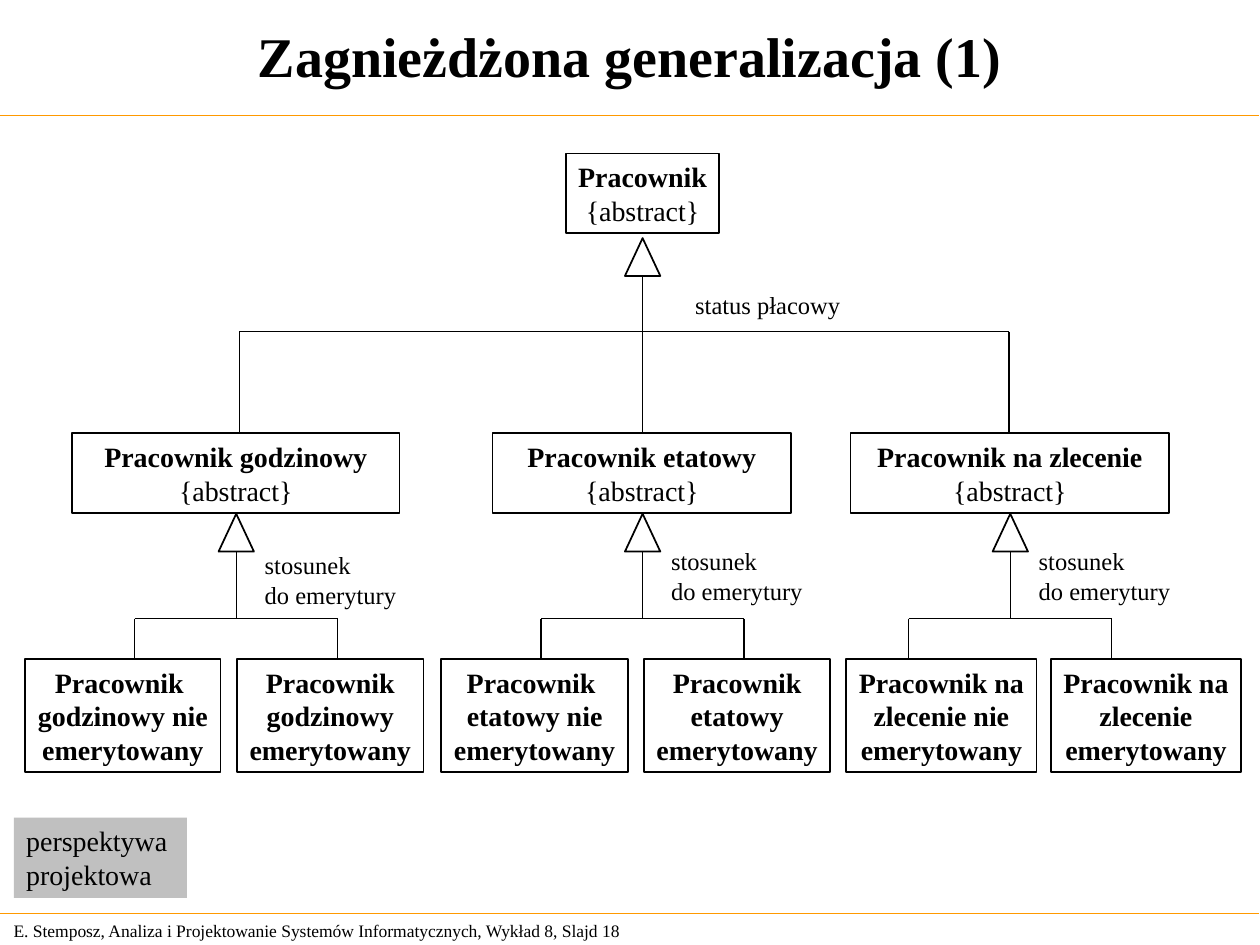
from dataclasses import dataclass

from lxml import etree
from pptx import Presentation
from pptx.dml.color import RGBColor
from pptx.enum.shapes import MSO_CONNECTOR, MSO_SHAPE
from pptx.enum.text import MSO_ANCHOR, PP_ALIGN
from pptx.oxml.ns import qn
from pptx.util import Pt

STRAIGHT = MSO_CONNECTOR.STRAIGHT
RECTANGLE, TRIANGLE = MSO_SHAPE.RECTANGLE, MSO_SHAPE.ISOSCELES_TRIANGLE
TOP, MIDDLE = MSO_ANCHOR.TOP, MSO_ANCHOR.MIDDLE
LEFT, CENTER = PP_ALIGN.LEFT, PP_ALIGN.CENTER


@dataclass(frozen=True)
class Theme:
    font: str = "Times New Roman"
    ink: RGBColor = RGBColor(0, 0, 0)
    paper: RGBColor = RGBColor(255, 255, 255)
    rule: RGBColor = RGBColor(0xFF, 0x99, 0x00)
    note: RGBColor = RGBColor(0xC0, 0xC0, 0xC0)
    title_size: float = 32
    class_size: float = 16
    label_size: float = 14
    footer_size: float = 10
    thick: float = 1
    thin: float = 0.75


@dataclass(frozen=True)
class Box:
    left: float
    top: float
    width: float
    height: float


@dataclass(frozen=True)
class Leaf:
    left: float
    width: float
    lines: tuple[str, ...]


@dataclass(frozen=True)
class Branch:
    name: str
    left: float
    width: float
    axis: float
    label_top: float
    leaves: tuple[Leaf, Leaf]


THEME = Theme()
SLIDE_W, SLIDE_H = 720, 540
ROOT = Box(323.3, 87.8, 87.8, 45.4)
ROOT_AXIS, ROOT_ARROW_TOP, ROOT_BAR = 367.2, 136.1, 189.5
BAR_ENDS = (136.8, 576.7)
BRANCH_TOP, BRANCH_H = 247.6, 45.4
ARROW_W, ARROW_H, ARROW_TOP = 20.2, 21.6, 293.6
LEAF_BAR, LEAF_BAR_HALF = 353.5, 58
LEAF_TOP, LEAF_H = 376.5, 64.8
LABEL_GAP, LABEL_W, LABEL_H = 9.2, 100, 40.3
RULES = (66.2, 522)
RULE_LEFT = -0.7

BRANCHES = (
    Branch("Pracownik godzinowy", 41.2, 187.2, 135, 311, (
        Leaf(14.4, 111.6, ("Pracownik ", "godzinowy nie", "emerytowany")),
        Leaf(135.4, 106.6, ("Pracownik", "godzinowy", "emerytowany")))),
    Branch("Pracownik etatowy", 281.5, 170.6, 367.2, 308.7, (
        Leaf(252.2, 106.6, ("Pracownik ", "etatowy nie", "emerytowany")),
        Leaf(367.9, 106.6, ("Pracownik", "etatowy", "emerytowany")))),
    Branch("Pracownik na zlecenie", 486, 182.2, 577.3, 308.7, (
        Leaf(483.6, 108.7, ("Pracownik na", "zlecenie nie", "emerytowany")),
        Leaf(600.5, 108.7, ("Pracownik na", "zlecenie", "emerytowany")))),
)


def add_line(s, x1: float, y1: float, x2: float, y2: float,
             width: float = THEME.thick, color: RGBColor = THEME.ink) -> None:
    line = s.shapes.add_connector(STRAIGHT, Pt(x1), Pt(y1), Pt(x2), Pt(y2))
    line.line.color.rgb = color
    line.line.width = Pt(width)
    etree.SubElement(line._element.spPr, qn("a:effectLst"))


def write(sp, lines: tuple[str, ...], size: float, bold_lines: int = 0,
          align: PP_ALIGN = LEFT, anchor: MSO_ANCHOR = TOP, wrap: bool = False) -> None:
    """Fill a shape with one paragraph per line, the first bold_lines in bold."""
    tf = sp.text_frame
    tf.word_wrap = wrap
    tf.vertical_anchor = anchor
    tf.text = "\n".join(lines)
    for i, p in enumerate(tf.paragraphs):
        p.alignment = align
        for r in p.runs:
            r.font.name = THEME.font
            r.font.size = Pt(size)
            r.font.bold = i < bold_lines
            r.font.color.rgb = THEME.ink


def add_text(s, box: Box, lines: tuple[str, ...], size: float, **style) -> None:
    sp = s.shapes.add_textbox(Pt(box.left), Pt(box.top), Pt(box.width), Pt(box.height))
    write(sp, lines, size, wrap=True, **style)


def add_outline(s, kind: MSO_SHAPE, box: Box, fill: RGBColor | None = None,
                outlined: bool = True):
    sp = s.shapes.add_shape(kind, Pt(box.left), Pt(box.top), Pt(box.width), Pt(box.height))
    sp.shadow.inherit = False
    if fill is None:
        sp.fill.background()
    else:
        sp.fill.solid()
        sp.fill.fore_color.rgb = fill
    if outlined:
        sp.line.color.rgb = THEME.ink
        sp.line.width = Pt(THEME.thick)
    else:
        sp.line.fill.background()
    return sp


def add_class(s, box: Box, lines: tuple[str, ...], bold_lines: int) -> None:
    sp = add_outline(s, RECTANGLE, box)
    write(sp, lines, THEME.class_size, bold_lines, CENTER)


def add_arrow(s, axis: float, top: float) -> None:
    """Hollow generalization triangle centred on the axis."""
    add_outline(s, TRIANGLE, Box(axis - ARROW_W / 2, top, ARROW_W, ARROW_H), THEME.paper)


def add_branch(s, branch: Branch) -> None:
    add_class(s, Box(branch.left, BRANCH_TOP, branch.width, BRANCH_H),
              (branch.name, "{abstract}"), 1)
    add_arrow(s, branch.axis, ARROW_TOP)
    add_line(s, branch.axis, ARROW_TOP + ARROW_H, branch.axis, LEAF_BAR, THEME.thin)
    ends = (branch.axis - LEAF_BAR_HALF, branch.axis + LEAF_BAR_HALF)
    add_line(s, ends[0], LEAF_BAR, ends[1], LEAF_BAR)
    add_text(s, Box(branch.axis + LABEL_GAP, branch.label_top, LABEL_W, LABEL_H),
             ("stosunek", "do emerytury"), THEME.label_size)
    for x, leaf in zip(ends, branch.leaves):
        add_line(s, x, LEAF_BAR, x, LEAF_TOP, THEME.thin)
        add_class(s, Box(leaf.left, LEAF_TOP, leaf.width, LEAF_H), leaf.lines, len(leaf.lines))


def add_root(s) -> None:
    add_line(s, ROOT_AXIS, ROOT_ARROW_TOP, ROOT_AXIS, BRANCH_TOP)
    add_arrow(s, ROOT_AXIS, ROOT_ARROW_TOP)
    add_line(s, BAR_ENDS[0], ROOT_BAR, BAR_ENDS[1], ROOT_BAR)
    for x in BAR_ENDS:
        add_line(s, x, ROOT_BAR, x, BRANCH_TOP)
    add_class(s, ROOT, ("Pracownik", "{abstract}"), 1)
    add_text(s, Box(390.2, 162, 124.6, 23.8), ("status płacowy",), THEME.label_size)


def add_frame(s) -> None:
    """Title, footer and the two rules."""
    add_text(s, Box(0.7, 522, 377.3, 19.4),
             ("E. Stemposz, Analiza i Projektowanie Systemów Informatycznych, Wykład 8, Slajd 18",),
             THEME.footer_size, anchor=MIDDLE)
    for y in RULES:
        add_line(s, RULE_LEFT, y, RULE_LEFT + SLIDE_W, y, THEME.thin, THEME.rule)
    add_text(s, Box(0, -1.4, SLIDE_W, 66.2), ("Zagnieżdżona generalizacja (1)",),
             THEME.title_size, bold_lines=1, align=CENTER, anchor=MIDDLE)


def main() -> None:
    prs = Presentation()
    prs.slide_width, prs.slide_height = Pt(SLIDE_W), Pt(SLIDE_H)
    s = prs.slides.add_slide(prs.slide_layouts[6])
    add_frame(s)
    add_root(s)
    for branch in BRANCHES:
        add_branch(s, branch)
    note = add_outline(s, RECTANGLE, Box(7.9, 467.3, 98.9, 45.8), THEME.note, outlined=False)
    write(note, ("perspektywa", "projektowa"), THEME.class_size)
    prs.save("out.pptx")


if __name__ == "__main__":
    main()
